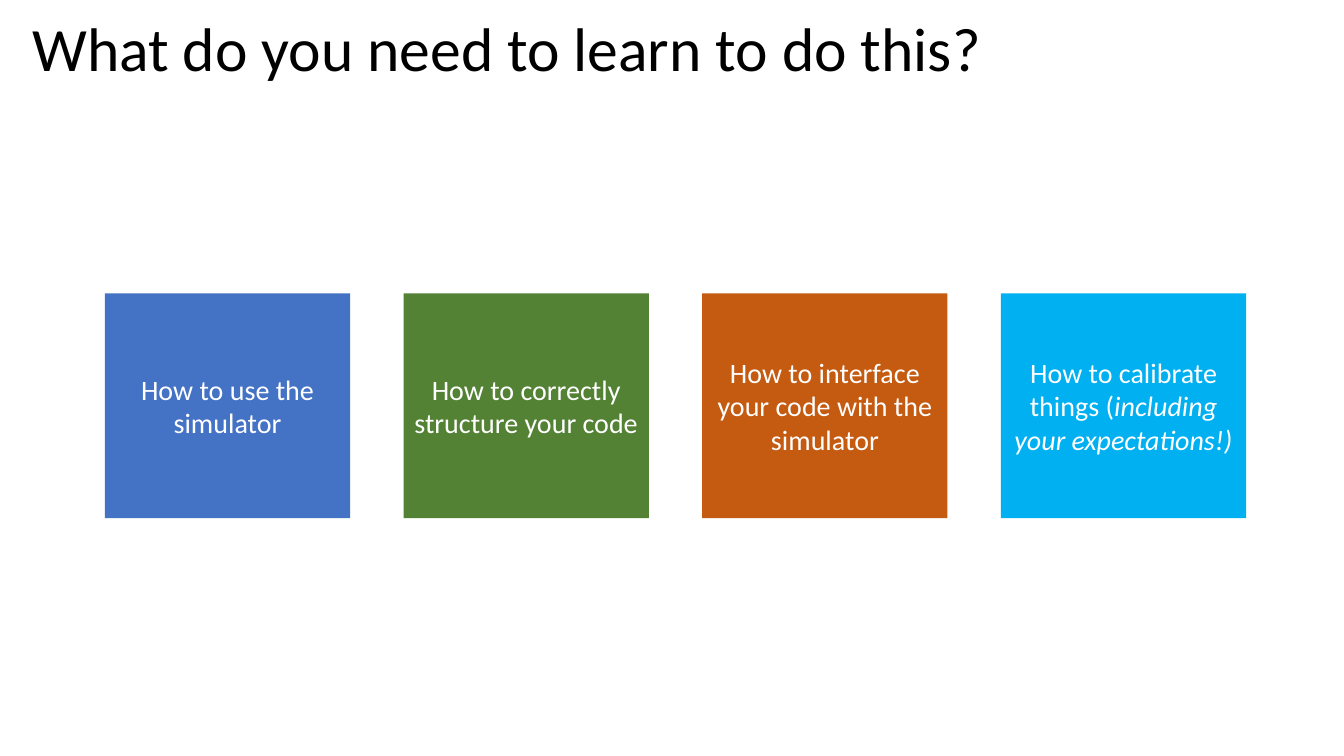
import pptx
import pptx.util
import pptx.dml.color
import pptx.enum.shapes
import pptx.enum.text

Inches = pptx.util.Inches
ALIGN = pptx.enum.text.PP_ALIGN
MIDDLE = pptx.enum.text.MSO_ANCHOR.MIDDLE

# Each card: fill, plain text, italic text
CARDS = [
    ("4472C4", "How to use the simulator", ""),
    ("548235", "How to correctly structure your code", ""),
    ("C55A11", "How to interface your code with the simulator", ""),
    ("00B0F0", "How to calibrate things (", "including your expectations!)"),
]


def color(code):
    return pptx.dml.color.RGBColor.from_string(code)


def style(para, size, code, align):
    para.alignment = align
    para.font.name = "Calibri"
    para.font.size = pptx.util.Pt(size)
    para.font.color.rgb = color(code)


def add_title(slide, text, left, top, width, height):
    title = slide.shapes.title
    title.left, title.top = Inches(left), Inches(top)
    title.width, title.height = Inches(width), Inches(height)
    frame = title.text_frame
    frame.text = text
    frame.word_wrap = True
    frame.auto_size = pptx.enum.text.MSO_AUTO_SIZE.NONE
    frame.vertical_anchor = MIDDLE
    para = frame.paragraphs[0]
    para.line_spacing = 0.9
    style(para, 44, "000000", ALIGN.LEFT)


def add_card(slide, card, left, top, width, height):
    fill, plain, slant = card
    box = slide.shapes.add_shape(
        pptx.enum.shapes.MSO_SHAPE.RECTANGLE,
        Inches(left), Inches(top), Inches(width), Inches(height))
    box.shadow.inherit = False
    box.fill.solid()
    box.fill.fore_color.rgb = color(fill)
    box.line.fill.background()
    frame = box.text_frame
    frame.word_wrap = True
    frame.vertical_anchor = MIDDLE
    para = frame.paragraphs[0]
    para.add_run().text = plain
    if slant:
        run = para.add_run()
        run.text = slant
        run.font.italic = True
    style(para, 20, "FFFFFF", ALIGN.CENTER)


def add_row(slide, cards, left, top, width, height, gap):
    # Equal cards share the width left over by the gaps
    size = (width - gap * (len(cards) - 1)) / len(cards)
    for i, card in enumerate(cards):
        add_card(slide, card, left + i * (size + gap), top, size, height)


def main():
    deck = pptx.Presentation()
    deck.slide_width, deck.slide_height = Inches(13.33), Inches(7.5)
    slide = deck.slides.add_slide(deck.slide_layouts[5])

    # Heading
    add_title(slide, "What do you need to learn to do this?",
              0.22, 0.11, 10.83, 0.8)

    # Row of topics
    add_row(slide, CARDS, 1.04, 2.91, 11.32, 2.23, 0.53)

    deck.save("out.pptx")


if __name__ == "__main__":
    main()
